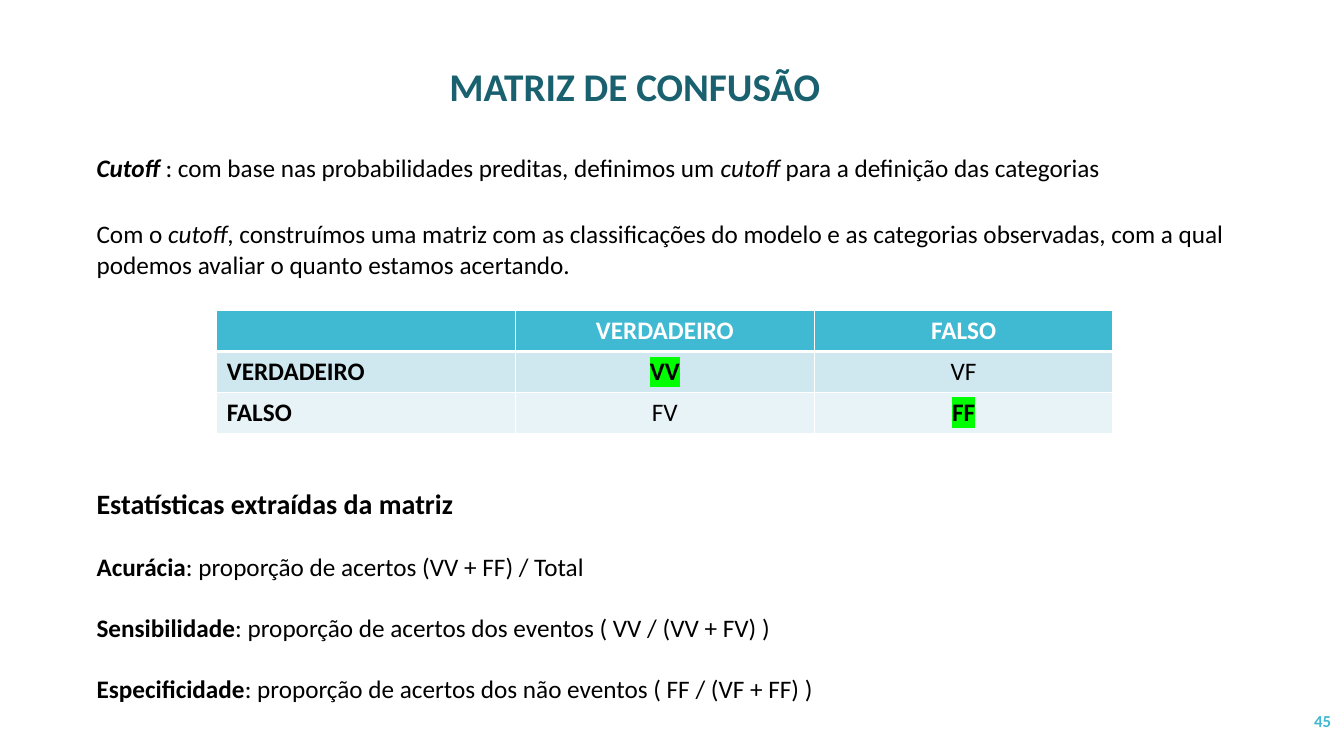
from dataclasses import dataclass

from lxml import etree
from pptx import Presentation, util as u
from pptx.dml import color
from pptx.enum import text
from pptx.oxml import ns

FONT = "Calibri"
BLACK, WHITE, GREEN = "000000", "FFFFFF", "00FF00"
TEAL, DARK_TEAL = "40BAD2", "1A616F"
ROW_FILLS = [TEAL, "CFE7EE", "E8F3F7"]
LEFT, CENTER, RIGHT = text.PP_ALIGN.LEFT, text.PP_ALIGN.CENTER, text.PP_ALIGN.RIGHT
TOP, MIDDLE = text.MSO_ANCHOR.TOP, text.MSO_ANCHOR.MIDDLE


@dataclass
class Piece:
    words: str
    bold: bool = False
    italic: bool = False


@dataclass
class Line:
    pieces: list[Piece]
    size: float = 18
    hue: str = BLACK
    align: text.PP_ALIGN = LEFT
    space_before: float = 0


@dataclass
class Block:
    left: float
    top: float
    width: float
    height: float
    lines: list[Line]
    anchor: text.MSO_ANCHOR = TOP


@dataclass
class Entry:
    words: str
    bold: bool = False
    marked: bool = False


def rgb(value: str) -> color.RGBColor:
    return color.RGBColor.from_string(value)


def write_line(paragraph, line: Line) -> None:
    paragraph.alignment = line.align
    paragraph.space_before = u.Pt(line.space_before)
    font = paragraph.font
    font.name, font.size = FONT, u.Pt(line.size)
    font.color.rgb = rgb(line.hue)
    for piece in line.pieces:
        run = paragraph.add_run()
        run.text = piece.words
        run.font.bold, run.font.italic = piece.bold, piece.italic


def draw_block(slide, block: Block) -> None:
    box = slide.shapes.add_textbox(
        u.Inches(block.left), u.Inches(block.top),
        u.Inches(block.width), u.Inches(block.height))
    frame = box.text_frame
    frame.word_wrap = True
    frame.vertical_anchor = block.anchor
    for index, line in enumerate(block.lines):
        paragraph = frame.add_paragraph() if index else frame.paragraphs[0]
        write_line(paragraph, line)


def add_color(parent, tag: str, value: str) -> None:
    holder = etree.SubElement(parent, ns.qn(tag))
    etree.SubElement(holder, ns.qn("a:srgbClr"), val=value)


def set_borders(cell, top: float, bottom: float) -> None:
    properties = cell._tc.get_or_add_tcPr()
    for side, width in (("L", 1), ("R", 1), ("T", top), ("B", bottom)):
        border = etree.SubElement(properties, ns.qn(f"a:ln{side}"), w=str(u.Pt(width)))
        add_color(border, "a:solidFill", WHITE)


def draw_matrix(slide, rows: list[list[Entry]]) -> None:
    count = len(rows)
    frame = slide.shapes.add_table(
        count, len(rows[0]), u.Inches(2.15), u.Inches(3.08),
        u.Inches(8.89), u.Inches(1.22))
    table = frame.table
    table.horz_banding = False
    for row_index, entries in enumerate(rows):
        for column_index, entry in enumerate(entries):
            cell = table.cell(row_index, column_index)
            set_borders(cell, 3 if row_index == 1 else 1, 3 if row_index == 0 else 1)
            cell.fill.solid()
            cell.fill.fore_color.rgb = rgb(ROW_FILLS[row_index])
            pieces = [Piece(entry.words, entry.bold)] if entry.words else []
            paragraph = cell.text_frame.paragraphs[0]
            write_line(paragraph, Line(
                pieces, hue=BLACK if row_index else WHITE,
                align=CENTER if column_index else LEFT))
            if entry.marked:
                add_color(paragraph.runs[0].font._element, "a:highlight", GREEN)


def statistic(name: str, formula: str) -> Line:
    return Line([Piece(name, bold=True), Piece(f": {formula}")], space_before=22)


BLOCKS = [
    Block(11.63, 6.95, 1.67, 0.4,
          [Line([Piece("45", bold=True)], 12, TEAL, RIGHT)], MIDDLE),
    Block(2.15, 0.57, 8.29, 0.57,
          [Line([Piece("MATRIZ DE CONFUSÃO", bold=True)], 28, DARK_TEAL, CENTER)]),
    Block(0.86, 1.46, 10.35, 0.4, [Line([
        Piece("Cutoff", bold=True, italic=True),
        Piece(" : com base nas probabilidades preditas, definimos um "),
        Piece("cutoff ", italic=True),
        Piece("para a definição das categorias")])]),
    Block(0.86, 2.12, 11.8, 0.71, [Line([
        Piece("Com o "),
        Piece("cutoff", italic=True),
        Piece(", construímos uma matriz com as classificações do modelo e as "
              "categorias observadas, com a qual podemos avaliar o quanto "
              "estamos acertando.")])]),
    Block(0.86, 4.78, 7.47, 2.26, [
        Line([Piece("Estatísticas extraídas da matriz", bold=True)], 20),
        statistic("Acurácia", "proporção de acertos (VV + FF) / Total"),
        statistic("Sensibilidade", "proporção de acertos dos eventos ( VV / (VV + FV) )"),
        statistic("Especificidade",
                  "proporção de acertos dos não eventos ( FF / (VF + FF) )")]),
]

MATRIX = [
    [Entry(""), Entry("VERDADEIRO", True), Entry("FALSO", True)],
    [Entry("VERDADEIRO", True), Entry("VV", True, True), Entry("VF")],
    [Entry("FALSO", True), Entry("FV"), Entry("FF", True, True)],
]


def main() -> None:
    presentation = Presentation()
    presentation.slide_width = u.Inches(13.33)
    presentation.slide_height = u.Inches(7.5)
    slide = presentation.slides.add_slide(presentation.slide_layouts[6])
    for block in BLOCKS:
        draw_block(slide, block)
    draw_matrix(slide, MATRIX)
    presentation.save("out.pptx")


if __name__ == "__main__":
    main()
